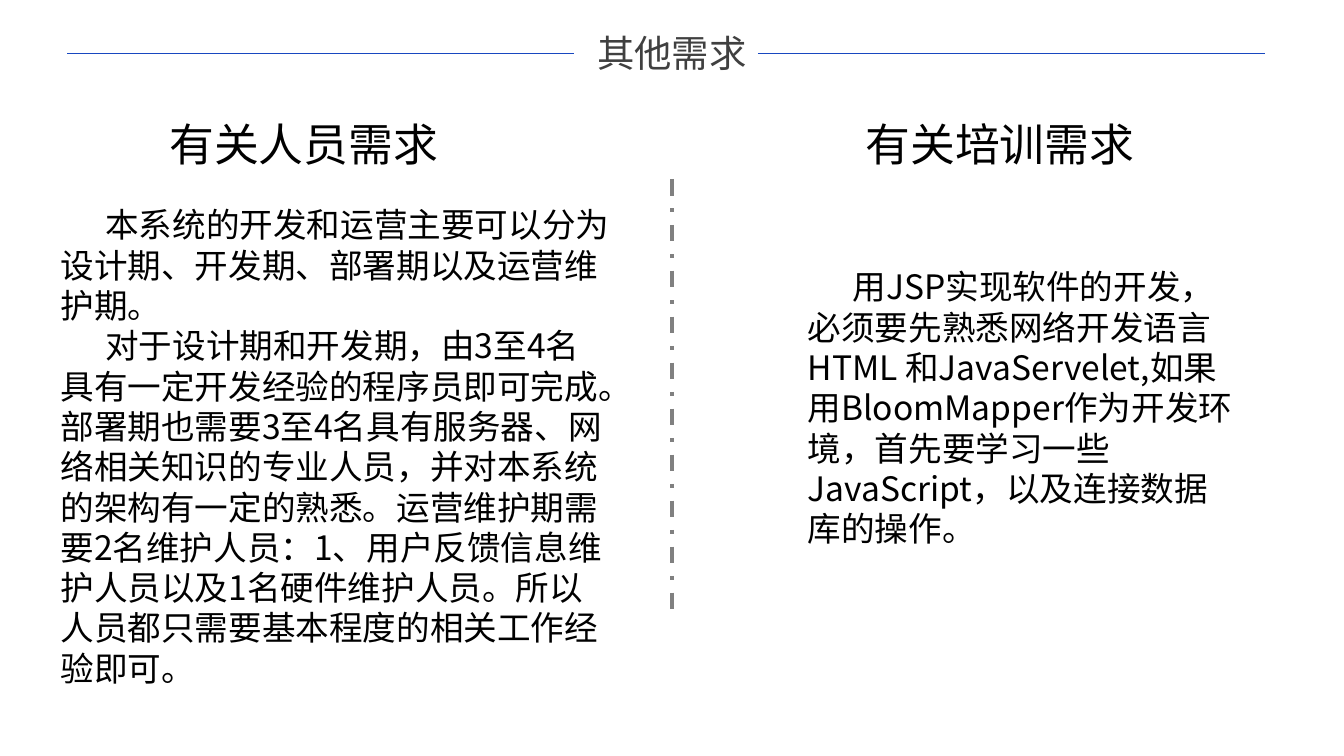
"""Build the slide on staffing and training needs."""
from collections import namedtuple

from lxml.etree import SubElement
from pptx import Presentation
from pptx.dml.color import RGBColor
from pptx.enum.dml import MSO_LINE
from pptx.enum.shapes import MSO_CONNECTOR
from pptx.enum.text import MSO_ANCHOR, MSO_AUTO_SIZE, PP_ALIGN
from pptx.oxml.ns import qn
from pptx.util import Pt

Theme = namedtuple(
    "Theme", "title_font text_font title_color text_color rule divider title_size heading_size body_size"
)
theme = Theme(
    title_font="Arial",
    text_font="Noto Sans CJK SC",
    title_color=RGBColor(0x40, 0x40, 0x40),
    text_color=RGBColor(0, 0, 0),
    rule=RGBColor(0x18, 0x48, 0xC0),
    divider=RGBColor(0x80, 0x80, 0x80),
    title_size=20,
    heading_size=24,
    body_size=18,
)


def write(text, *, box, at, size, font=theme.text_font, color=theme.text_color,
          align=PP_ALIGN.LEFT, indent=0):
    """Place a box and fill it with one paragraph per line of text."""
    box.left, box.top, box.width, box.height = [Pt(length) for length in at]
    frame = box.text_frame
    frame.text = text
    frame.word_wrap = True
    frame.auto_size = MSO_AUTO_SIZE.NONE
    frame.vertical_anchor = MSO_ANCHOR.TOP
    frame.margin_left = frame.margin_right = Pt(7.2)
    frame.margin_top = frame.margin_bottom = Pt(3.6)
    for para in frame.paragraphs:
        para.alignment = align
        para.line_spacing = Pt(size * 1.2)
        para.space_before = para.space_after = Pt(0)
        properties = para._p.get_or_add_pPr()
        properties.set("marL", "0")
        properties.set("indent", str(Pt(indent)))
        SubElement(properties, qn("a:buNone"))
        for span in para.runs:
            span.font.size = Pt(size)
            span.font.bold = False
            span.font.name = font
            span.font.color.rgb = color
            SubElement(span._r.get_or_add_rPr(), qn("a:ea"), typeface=theme.text_font)


deck = Presentation()
deck.slide_width, deck.slide_height = Pt(720), Pt(405)
page = deck.slides.add_slide(deck.slide_layouts.get_by_name("Comparison"))
title, left_heading, left_body, right_heading, right_body = page.placeholders

write("其他需求", box=title, at=(310.5, 12.5, 99, 31.7), size=theme.title_size,
      font=theme.title_font, color=theme.title_color, align=PP_ALIGN.CENTER)

lines = [
    (36, 28.6, 307.5, 28.6, theme.rule, 0.5, None),
    (406, 28.6, 677.5, 28.6, theme.rule, 0.5, None),
    (360, 95.8, 360, 327.6, theme.divider, 2.25, MSO_LINE.DASH_DOT),
]
for *ends, color, width, dash in lines:
    line = page.shapes.add_connector(MSO_CONNECTOR.STRAIGHT, *[Pt(end) for end in ends])
    line.line.color.rgb = color
    line.line.width = Pt(width)
    line.line.dash_style = dash
    SubElement(line._element.spPr, qn("a:effectLst"))

staffing = (
    "本系统的开发和运营主要可以分为设计期、开发期、部署期以及运营维护期。\n"
    "对于设计期和开发期，由3至4名具有一定开发经验的程序员即可完成。"
    "部署期也需要3至4名具有服务器、网络相关知识的专业人员，并对本系统的架构有一定的熟悉。"
    "运营维护期需要2名维护人员：1、用户反馈信息维护人员以及1名硬件维护人员。"
    "所以人员都只需要基本程度的相关工作经验即可。"
)
training = (
    "用JSP实现软件的开发，必须要先熟悉网络开发语言HTML 和JavaServelet,"
    "如果用BloomMapper作为开发环境，首先要学习一些JavaScript，以及连接数据库的操作。"
)
columns = [
    (left_heading, "有关人员需求", 83.5, left_body, staffing, (25.2, 105.8, 309, 268.6)),
    (right_heading, "有关培训需求", 456.5, right_body, training, (425.5, 139, 242.6, 159.8)),
]
for heading, label, left, body, text, place in columns:
    write(label, box=heading, at=(left, 59, 170.6, 36), size=theme.heading_size)
    write(text, box=body, at=place, size=theme.body_size, indent=24)

deck.save("out.pptx")
